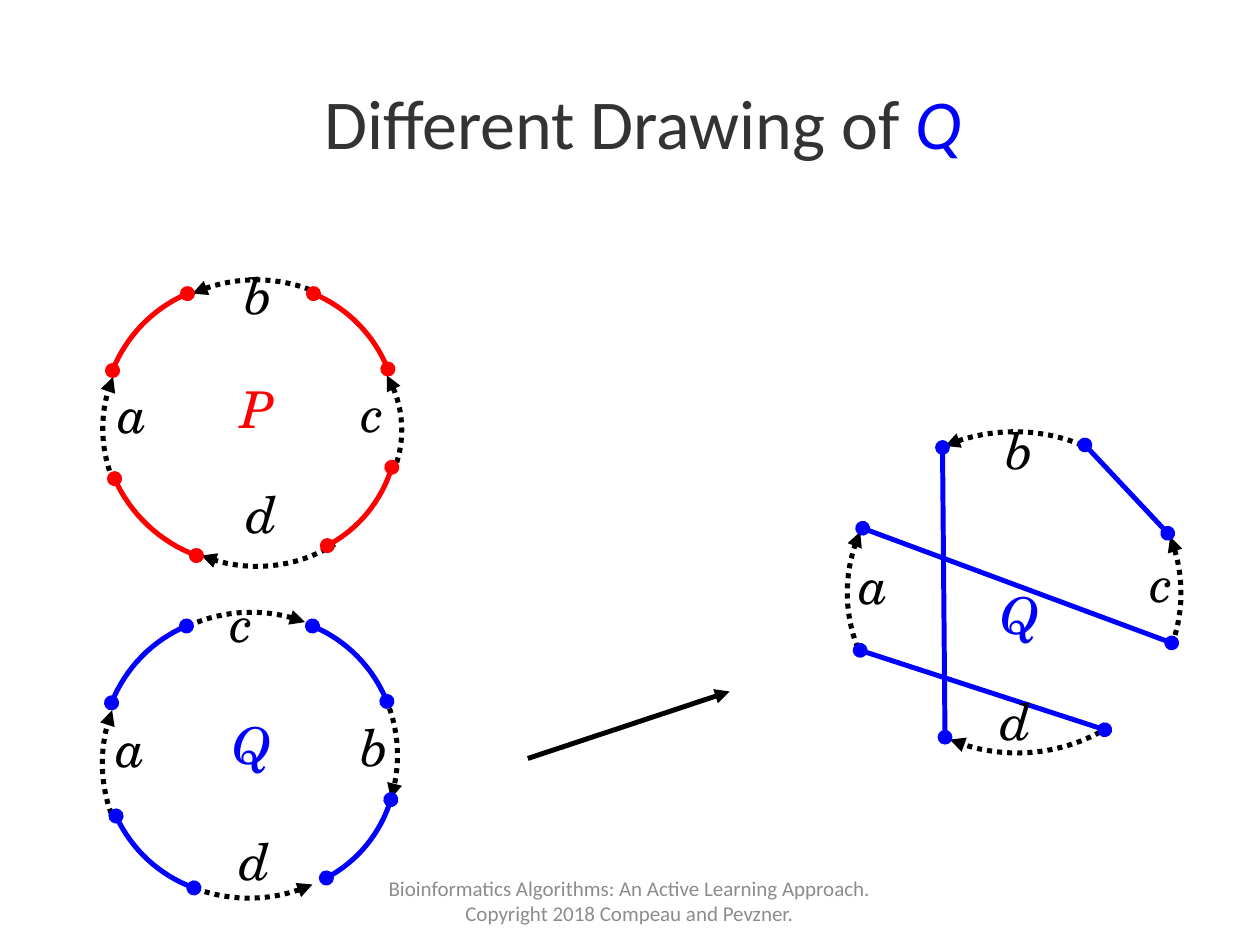
import math
from dataclasses import dataclass

import lxml.etree
import pptx
import pptx.dml.color
import pptx.enum.dml
import pptx.enum.shapes
import pptx.enum.text
import pptx.oxml.ns
import pptx.util

Cm = pptx.util.Cm
Pt = pptx.util.Pt
RGB = pptx.dml.color.RGBColor.from_string
DASH = pptx.enum.dml.MSO_LINE.ROUND_DOT
CENTER = pptx.enum.text.PP_ALIGN.CENTER
MIDDLE = pptx.enum.text.MSO_ANCHOR.MIDDLE


@dataclass(frozen=True)
class Theme:
    ink: str = "000000"
    title: str = "333333"
    footer: str = "8C8C8C"
    p_genome: str = "FF0000"
    q_genome: str = "0000FF"
    sans: str = "Calibri"
    serif: str = "TeX Gyre Schola"
    title_size: float = 40
    label_size: float = 29
    footer_size: float = 12
    arc_width: float = 2.89
    line_width: float = 2.83


T = Theme()

LABEL_SIZES = {
    "left": (0.86, 1.63),
    "top": (0.71, 1.4),
    "right": (0.48, 1.02),
    "bottom": (0.43, 1.22),
    "center": (0.74, 1.65),
}

SHARED_ARCS = [
    ((0.19, 1.83), (1.7, 0.28)),
    ((4.24, 0.28), (5.74, 1.8)),
    ((5.82, 3.78), (4.52, 5.36)),
]

P_RING = {
    "box": (2.08, 5.64),
    "color": T.p_genome,
    "arcs": SHARED_ARCS + [((1.88, 5.56), (0.23, 4.01))],
    "blocks": [
        ((1.8, 0.28), (4.17, 0.2), "head", 0.1),
        ((5.72, 1.93), (5.84, 3.89), "head", 0.12),
        ((4.67, 5.33), (1.98, 5.56), "tail", 0.12),
        ((0.2, 4.04), (0.2, 1.96), "tail", 0.1),
    ],
    "labels": {
        "left": ("a", 0.3, 2.49),
        "right": ("c", 5.21, 2.46),
        "top": ("b", 2.84, 0.08),
        "bottom": ("d", 2.9, 4.5),
        "center": ("P", 2.77, 2.39),
    },
}

Q_RING = {
    "box": (2.06, 12.34),
    "color": T.q_genome,
    "arcs": SHARED_ARCS + [((1.85, 5.56), (0.28, 4.11))],
    "blocks": [
        ((1.73, 0.28), (4.09, 0.2), "tail", 0.1),
        ((5.72, 1.75), (5.82, 3.76), "tail", 0.09),
        ((4.24, 5.49), (1.85, 5.56), "head", 0.1),
        ((0.18, 4.06), (0.2, 1.98), "tail", 0.09),
    ],
    "labels": {
        "left": ("a", 0.28, 2.51),
        "right": ("b", 5.21, 2.49),
        "top": ("c", 2.59, 0),
        "bottom": ("d", 2.77, 4.8),
        "center": ("Q", 2.62, 2.46),
    },
}

Q_REDRAWN = {
    "box": (17.09, 8.69),
    "color": T.q_genome,
    "chords": [
        ((0.3, 1.96), (6.53, 4.27)),
        ((4.78, 0.28), (6.45, 2.06)),
        ((1.96, 6.17), (1.91, 0.33)),
        ((0.25, 4.42), (5.18, 6.02)),
    ],
    "blocks": [
        ((1.96, 0.3), (4.72, 0.28), "head", 0.1),
        ((6.5, 2.13), (6.55, 4.27), "head", 0.09),
        ((5.26, 5.97), (2.06, 6.22), "tail", 0.12),
        ((0.2, 4.37), (0.25, 2.03), "tail", 0.1),
    ],
    "labels": {
        "left": ("a", 0.23, 2.87),
        "right": ("c", 6.1, 2.84),
        "top": ("b", 3.18, 0.15),
        "bottom": ("d", 3.07, 5.61),
        "center": ("Q", 3.07, 3.48),
    },
}


def set_all(obj, **values):
    for name, value in values.items():
        setattr(obj, name, value)


def add_run(p, text, font, size, color, italic=False):
    r = p.add_run()
    r.text = text
    set_all(r.font, name=font, size=Pt(size), italic=italic)
    r.font.color.rgb = RGB(color)


def style_line(line, color, width, ends, dash=None):
    line.color.rgb = RGB(color)
    line.width = Pt(width)
    if dash is not None:
        line.dash_style = dash
    for end in ("head", "tail"):
        if end in ends:
            tag = pptx.oxml.ns.qn(f"a:{end}End")
            lxml.etree.SubElement(line._get_or_add_ln(), tag, type=ends[end])


def arc_points(start, end, bulge, steps=16):
    (x0, y0), (x1, y1) = start, end
    chord = math.dist(start, end)
    ux, uy = (x1 - x0) / chord, (y1 - y0) / chord
    half = 2 * math.atan(2 * bulge)
    radius = chord / (2 * math.sin(half))
    for i in range(steps + 1):
        angle = half * (2 * i / steps - 1)
        along = chord / 2 + radius * math.sin(angle)
        out = radius * (math.cos(angle) - math.cos(half))
        yield x0 + ux * along + uy * out, y0 + uy * along - ux * out


def add_arc(s, box, start, end, color, ends, bulge=0.1, dash=None):
    pts = [(Cm(box[0] + x), Cm(box[1] + y)) for x, y in arc_points(start, end, bulge)]
    builder = s.shapes.build_freeform(*pts[0])
    builder.add_line_segments(pts[1:], close=False)
    sp = builder.convert_to_shape()
    sp.shadow.inherit = False
    sp.fill.background()
    style_line(sp.line, color, T.arc_width, ends, dash)


def add_line(s, box, start, end, color, ends):
    points = [Cm(o + v) for point in (start, end) for o, v in zip(box, point)]
    sp = s.shapes.add_connector(pptx.enum.shapes.MSO_CONNECTOR.STRAIGHT, *points)
    style_line(sp.line, color, T.line_width, ends)
    lxml.etree.SubElement(sp._element.spPr, pptx.oxml.ns.qn("a:effectLst"))


def add_label(s, box, slot, text, x, y, color):
    w, h = LABEL_SIZES[slot]
    tf = s.shapes.add_textbox(Cm(box[0] + x), Cm(box[1] + y), Cm(w), Cm(h)).text_frame
    set_all(tf, margin_left=0, margin_top=0, margin_right=0, margin_bottom=0,
            word_wrap=slot == "bottom")
    p = tf.paragraphs[0]
    p.line_spacing = 0.63
    add_run(p, text, T.serif, T.label_size, color, italic=True)


def add_genome(s, box, color, blocks, labels, arcs=(), chords=()):
    ovals = {"head": "oval", "tail": "oval"}
    for start, end, arrow, bulge in blocks:
        add_arc(s, box, start, end, T.ink, {arrow: "triangle"}, bulge, DASH)
    for start, end in arcs:
        add_arc(s, box, start, end, color, ovals)
    for start, end in chords:
        add_line(s, box, start, end, color, ovals)
    for slot, (text, x, y) in labels.items():
        add_label(s, box, slot, text, x, y, color if slot == "center" else T.ink)


def add_title(s, left, top, width, height):
    sp = s.shapes.title
    set_all(sp, left=Cm(left), top=Cm(top), width=Cm(width), height=Cm(height))
    tf = sp.text_frame
    set_all(tf, margin_left=0, margin_top=0, margin_right=0, margin_bottom=0,
            vertical_anchor=MIDDLE, auto_size=pptx.enum.text.MSO_AUTO_SIZE.NONE)
    p = tf.paragraphs[0]
    set_all(p, alignment=CENTER, line_spacing=1.02)
    add_run(p, "Different Drawing of ", T.sans, T.title_size, T.title)
    add_run(p, "Q", T.sans, T.title_size, T.q_genome, italic=True)


def add_footer(s, left, top, width, height):
    tf = s.shapes.add_textbox(Cm(left), Cm(top), Cm(width), Cm(height)).text_frame
    set_all(tf, word_wrap=True, vertical_anchor=MIDDLE)
    p = tf.paragraphs[0]
    p.alignment = CENTER
    add_run(p, "Bioinformatics Algorithms: An Active Learning Approach. "
            "Copyright 2018 Compeau and Pevzner.", T.sans, T.footer_size, T.footer)


def main():
    prs = pptx.Presentation()
    set_all(prs, slide_width=Cm(25.4), slide_height=Cm(19.05))
    s = prs.slides.add_slide(prs.slide_layouts[5])
    add_title(s, 1.27, 0.84, 23.39, 3.18)
    for genome in (P_RING, Q_RING, Q_REDRAWN):
        add_genome(s, **genome)
    add_line(s, (10.64, 13.94), (0, 1.35), (4.07, 0), T.ink, {"tail": "triangle"})
    add_footer(s, 7.19, 17.65, 11, 1.02)
    prs.save("out.pptx")


if __name__ == "__main__":
    main()
